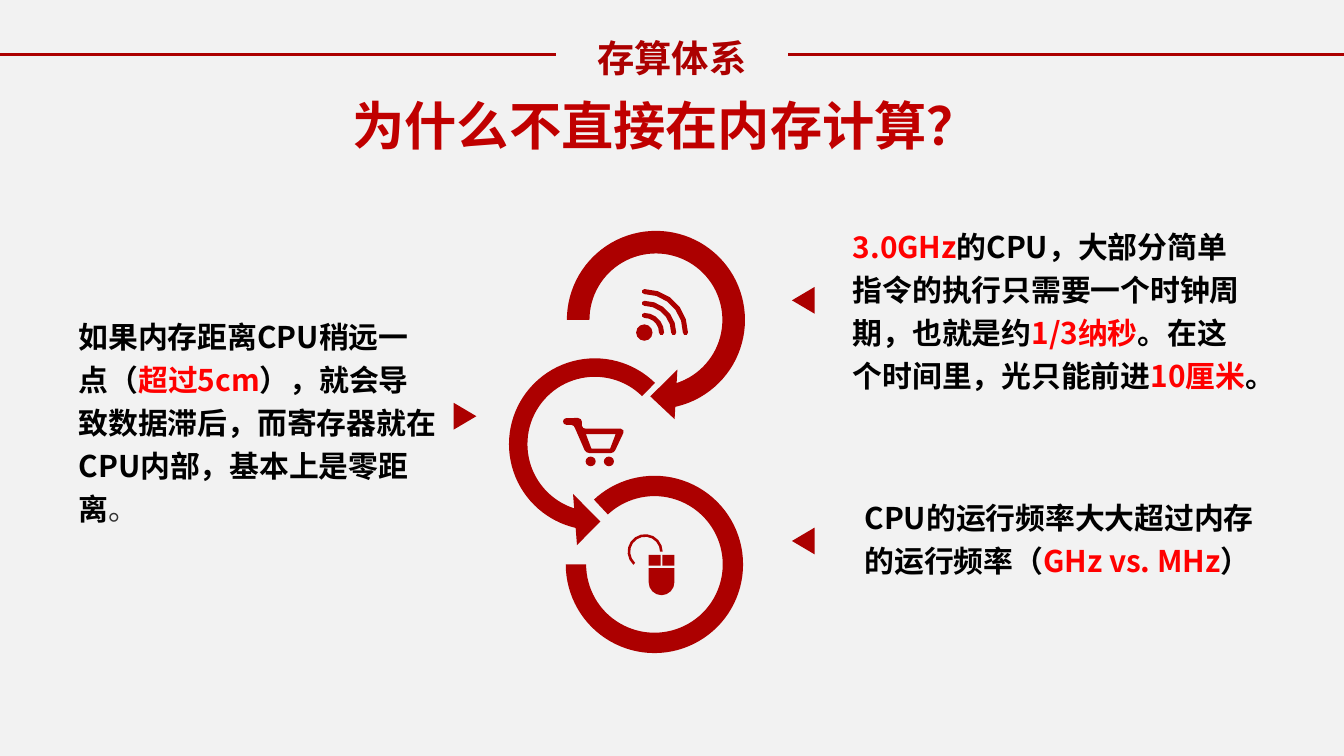
from math import cos, radians, sin

from lxml.etree import SubElement
from pptx import Presentation
from pptx.dml.color import RGBColor
from pptx.enum.shapes import MSO_CONNECTOR as Connector, MSO_SHAPE as Shape
from pptx.enum.text import MSO_AUTO_SIZE as AutoSize, PP_ALIGN as Align
from pptx.oxml.ns import qn
from pptx.util import Pt

PAPER = RGBColor(0xF2, 0xF2, 0xF2)
CRIMSON = RGBColor(0xAC, 0x00, 0x00)
TITLE_RED = RGBColor(0xC0, 0x00, 0x00)
ACCENT = RGBColor(0xFF, 0x00, 0x00)
INK = RGBColor(0x00, 0x00, 0x00)
GREY = RGBColor(0x33, 0x33, 0x33)
CJK_FONT = "Noto Sans CJK SC"


def arc(center, radius, start, end, steps):
    """Points on a circle; degrees run clockwise from the right."""
    angles = [radians(start + (end - start) * i / steps) for i in range(steps + 1)]
    return [(center[0] + radius * cos(a), center[1] + radius * sin(a)) for a in angles]


class Board:
    def __init__(self, slide, color):
        self.shapes = slide.shapes
        self.color = color
        slide.background.fill.solid()
        slide.background.fill.fore_color.rgb = PAPER

    def paint(self, shape):
        shape.shadow.inherit = False
        shape.fill.solid()
        shape.fill.fore_color.rgb = self.color
        shape.line.fill.background()

    def preset(self, kind, left, top, width, height, rotation=0, adjust=()):
        shape = self.shapes.add_shape(kind, Pt(left), Pt(top), Pt(width), Pt(height))
        self.paint(shape)
        shape.rotation = rotation
        for index, value in enumerate(adjust):
            shape.adjustments[index] = value

    def outline(self, *contours):
        builder = None
        for contour in contours:
            first, *rest = [(Pt(x), Pt(y)) for x, y in contour]
            if builder is None:
                builder = self.shapes.build_freeform(*first)
            else:
                builder.move_to(*first)
            builder.add_line_segments(rest, close=True)
        self.paint(builder.convert_to_shape())

    def ring(self, center, outer, inner, start, end, head=()):
        """A clockwise ring segment with an optional arrowhead triangle."""
        size = 2 * outer
        # Adjustments count in units of 100000; angles are 60000 to the degree.
        self.preset(Shape.BLOCK_ARC, center[0] - outer, center[1] - outer, size, size,
                    adjust=(start * 0.6, end * 0.6, (outer - inner) / size))
        if head:
            self.outline(head)

    def rule(self, left, right, y):
        line = self.shapes.add_connector(Connector.STRAIGHT, Pt(left), Pt(y), Pt(right), Pt(y))
        line.line.color.rgb = self.color
        line.line.width = Pt(2)
        SubElement(line._element.spPr, qn("a:effectLst"))

    def text(self, box, runs, size=16, font=CJK_FONT, align=Align.LEFT,
             spacing=None, insets=(7.2, 3.6), grow=True):
        frame = self.shapes.add_textbox(*map(Pt, box)).text_frame
        frame.word_wrap = True
        frame.auto_size = AutoSize.SHAPE_TO_FIT_TEXT if grow else AutoSize.NONE
        frame.margin_left = frame.margin_right = Pt(insets[0])
        frame.margin_top = frame.margin_bottom = Pt(insets[1])
        paragraph = frame.paragraphs[0]
        paragraph.alignment = align
        if spacing:
            paragraph.line_spacing = spacing
        for words, color in runs:
            run = paragraph.add_run()
            run.text = words
            run.font.name, run.font.size = font, Pt(size)
            run.font.bold = color != GREY
            run.font.color.rgb = color
            SubElement(run._r.get_or_add_rPr(), qn("a:ea"), typeface=CJK_FONT)

    def note(self, box, *runs):
        self.text(box, runs, spacing=1.2, insets=(5.2, 2.6))

    def wifi(self):
        hub = (345.2, 178.2)
        half = 1.35
        self.preset(Shape.OVAL, hub[0] - 4.4, hub[1] - 4.4, 8.8, 8.8)
        for radius in (9.2, 15.7, 22):
            right_cap = arc((hub[0] + radius, hub[1]), half, 60, 120, 1)
            left_cap = arc((hub[0], hub[1] - radius), half, 150, 210, 1)
            self.outline(arc(hub, radius + half, -90, 0, 5) + right_cap
                         + arc(hub, radius - half, 0, -90, 5) + left_cap)

    def cart(self):
        for left in (313.7, 323.5):
            self.preset(Shape.OVAL, left, 244.6, 5.4, 5.2)
        handle = arc((303.4, 225.8), 1.8, 90, 270, 4)
        frame = handle + [(309.6, 223.9), (311.2, 224.6), (311.8, 226.1),
                          (311.8, 228.2), (312.5, 229.3), (313.9, 229.7),
                          (332.6, 229.7), (333.9, 230.5), (334, 231.8),
                          (329.6, 241.2), (328.6, 242.3), (326.9, 242.8),
                          (316.1, 242.8), (314.3, 242.3), (313.2, 241.2),
                          (308.2, 229.7), (307.4, 228.2), (306, 227.6)]
        basket = [(326.9, 240.3), (316.8, 240.3), (313.9, 232.6), (329.8, 232.6)]
        self.outline(frame, basket)

    def mouse(self):
        left, right, top, bottom = 347.5, 361.3, 297.3, 303
        middle = (left + right) / 2
        buttons = [[(x, top), (x + 6.4, top), (x + 6.4, bottom), (x, bottom)]
                   for x in (left, right - 6.4)]
        body = [(left, 304.4), (right, 304.4)] + arc((middle, 312), 6.9, 0, 180, 8)
        self.outline(*buttons, body)
        cord = (345.6, 295.6)
        self.outline(arc(cord, 9.4, 132, 360, 11) + arc(cord, 8, 360, 132, 11))


def main():
    deck = Presentation()
    deck.slide_width, deck.slide_height = Pt(720), Pt(405)
    board = Board(deck.slides.add_slide(deck.slide_layouts[6]), CRIMSON)

    for left, top, rotation in ((423.2, 154.8, 270), (423.2, 283.7, 270), (241.9, 216.9, 90)):
        board.preset(Shape.ISOSCELES_TRIANGLE, left, top, 14.4, 12.2, rotation)

    board.note((451.7, 115.9, 225.4, 96.5),
               ("3.0GHz", ACCENT),
               ("的CPU，大部分简单指令的执行只需要一个时钟周期，也就是约", INK),
               ("1/3纳秒", ACCENT), ("。在这个时间里，光只能前进", INK),
               ("10厘米", ACCENT), ("。", INK))
    board.note((37, 164.2, 202.3, 119.5),
               ("如果内存距离CPU稍远一点（", INK), ("超过5cm", ACCENT),
               ("），就会导致数据滞后，而寄存器就在CPU内部，基本上是零距离", INK),
               ("。", GREY))
    board.note((458, 261.4, 225.4, 49.7),
               ("CPU的运行频率大大超过内存的运行频率（", INK),
               ("GHz vs. MHz", ACCENT), ("）", INK))

    # Chain of rings: middle, bottom, top
    board.ring((318.7, 238), 46, 36.1, 98, 314.5,
               head=[(309.1, 292), (321.6, 279.4), (307, 264.6)])
    board.ring((350.6, 302.4), 47.5, 36.6, 227, 180)
    board.ring((351.4, 171.4), 47.7, 35.6, 180, 80,
               head=[(361.4, 224.6), (348.4, 212.4), (362.9, 198)])

    board.wifi()
    board.cart()
    board.mouse()

    for left, right in ((0, 297.7), (422.3, 720)):
        board.rule(left, right, 29.2)
    board.text((297.7, 15.1, 124.6, 31.5), [("存算体系", CRIMSON)],
               size=20, align=Align.CENTER)
    board.text((181.8, 46.4, 354.2, 38.9), [("为什么不直接在内存计算？", TITLE_RED)],
               size=28, font="Arial", grow=False)
    deck.save("out.pptx")


if __name__ == "__main__":
    main()
